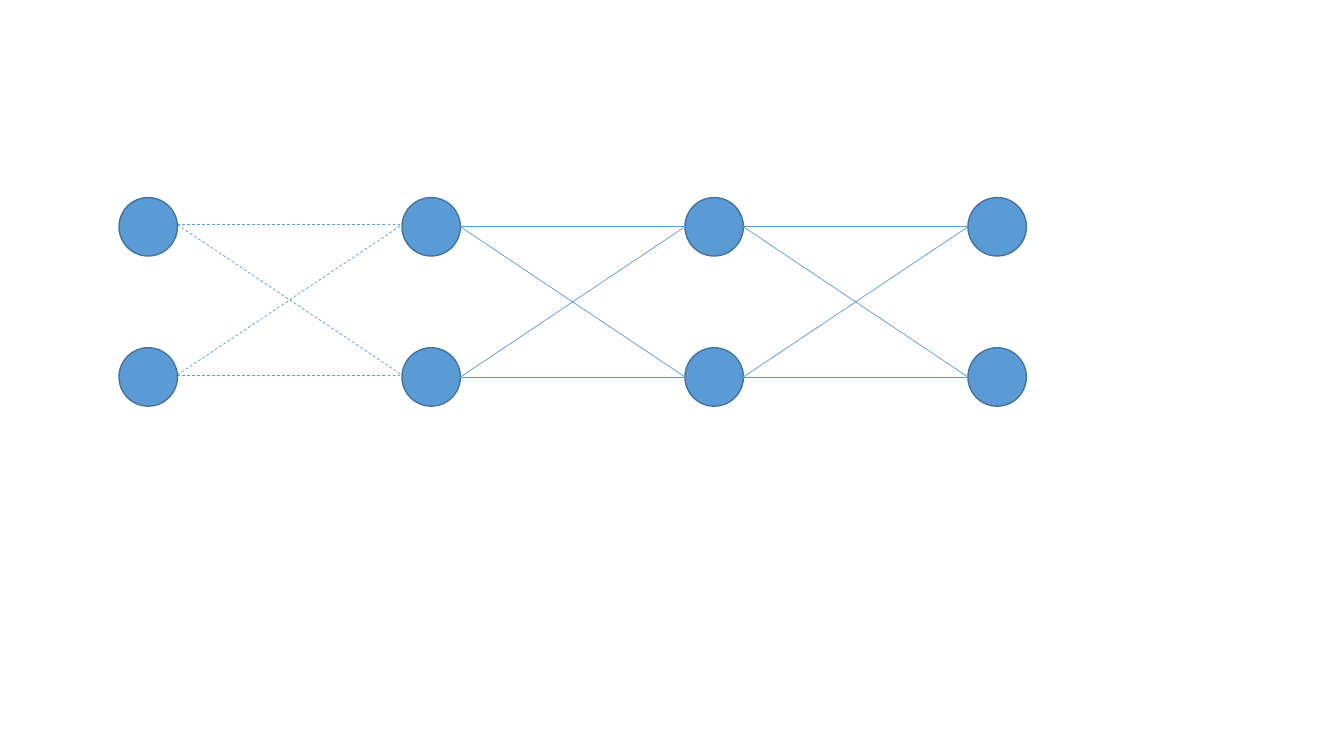
from itertools import product

from pptx import Presentation
from pptx import util as u
from pptx.dml import color
from pptx.enum import dml, shapes
from pptx.oxml import ns, xmlchemy

SIZE = 0.58
COLS = [1.18 + 8.42 * i / 3 for i in range(4)]
ROWS = [1.96, 3.45]


def paint(code):
    return color.RGBColor.from_string(code)


class Board:
    fill = "5B9BD5"
    edge = "43739E"

    def __init__(self, slide):
        self.items = slide.shapes

    def node(self, x, y):
        dot = self.items.add_shape(
            shapes.MSO_SHAPE.OVAL,
            u.Inches(x), u.Inches(y), u.Inches(SIZE), u.Inches(SIZE))
        dot.shadow.inherit = False
        dot.fill.solid()
        dot.fill.fore_color.rgb = paint(self.fill)
        dot.line.color.rgb = paint(self.edge)
        dot.line.width = u.Pt(1)

    def link(self, x1, y1, x2, y2, dash=False):
        wire = self.items.add_connector(
            shapes.MSO_CONNECTOR.STRAIGHT,
            u.Inches(x1), u.Inches(y1), u.Inches(x2), u.Inches(y2))
        wire.line.color.rgb = paint(self.fill)
        wire.line.width = u.Pt(0.5)
        if dash:
            wire.line.dash_style = dml.MSO_LINE.DASH
        props = wire._element.spPr
        props.append(xmlchemy.OxmlElement("a:effectLst"))


def main():
    deck = Presentation()
    deck.slide_width = u.Inches(13.33)
    deck.slide_height = u.Inches(7.5)
    board = Board(deck.slides.add_slide(deck.slide_layouts[6]))

    for x, y in product(COLS[1:], ROWS):
        board.node(x, y)
    for i in (1, 2, 0):
        dash = i == 0
        mid = SIZE / 2 - (0.02 if dash else 0)
        for y1, y2 in product(ROWS, ROWS):
            board.link(COLS[i] + SIZE, y1 + mid, COLS[i + 1], y2 + mid, dash)
    for y in ROWS:
        board.node(COLS[0], y)

    deck.save("out.pptx")


if __name__ == "__main__":
    main()
